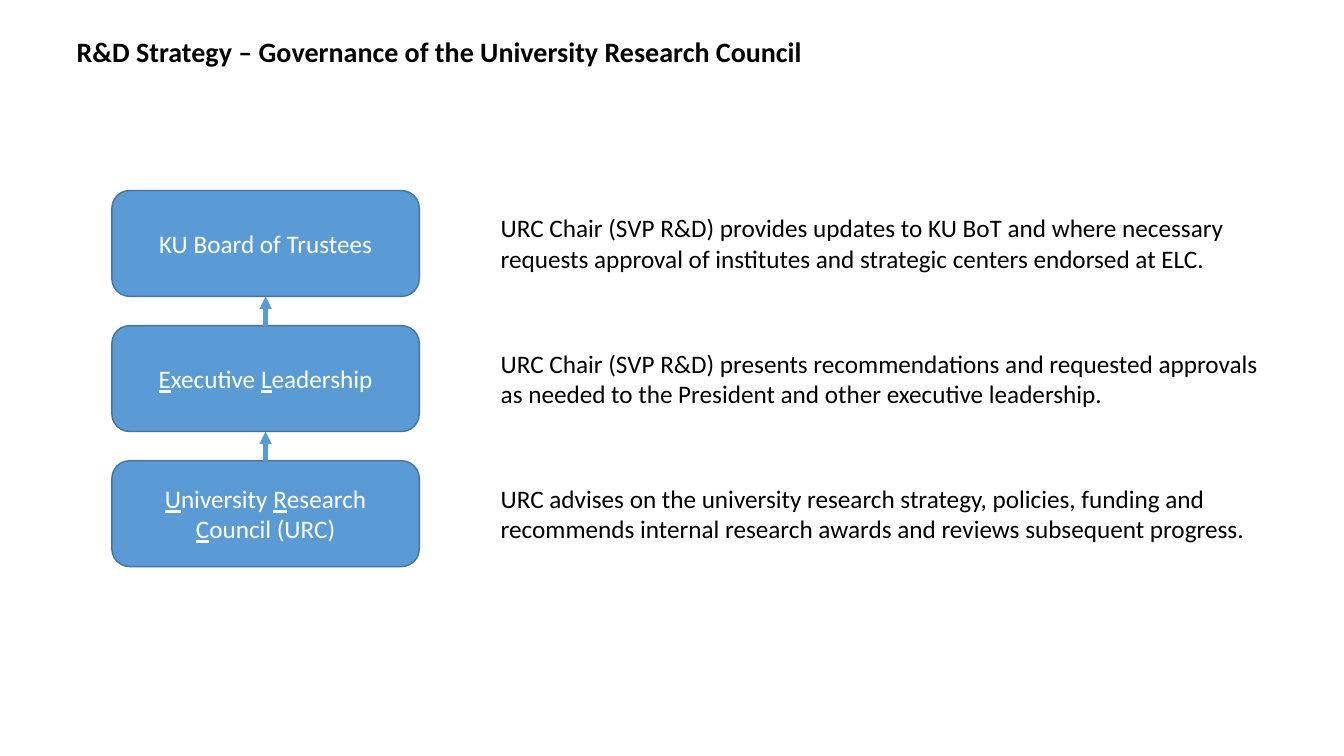
from lxml.etree import SubElement
from pptx import Presentation
from pptx.dml.color import RGBColor
from pptx.enum.shapes import MSO_CONNECTOR, MSO_SHAPE
from pptx.enum.text import MSO_ANCHOR, PP_ALIGN
from pptx.oxml.ns import qn
from pptx.util import Pt

TITLE = "R&D Strategy – Governance of the University Research Council"
# (body, role), top of the hierarchy first; letters between underscores are underlined
LEVELS = [
    ("KU Board of Trustees",
     "URC Chair (SVP R&D) provides updates to KU BoT and where necessary "
     "requests approval of institutes and strategic centers endorsed at ELC."),
    ("_E_xecutive _L_eadership",
     "URC Chair (SVP R&D) presents recommendations and requested approvals "
     "as needed to the President and other executive leadership."),
    ("_U_niversity _R_esearch _C_ouncil (URC)",
     "URC advises on the university research strategy, policies, funding and "
     "recommends internal research awards and reviews subsequent progress."),
]
COLORS = {"text": "000000", "box": "5B9BD5", "border": "43739E", "label": "FFFFFF"}
FONT = "Calibri"

BOX_LEFT, BOX_TOP, BOX_WIDTH, BOX_HEIGHT = 79.9, 136.1, 219.6, 75.6
PITCH = 96.5
ROLE_LEFT, ROLE_WIDTH, ROLE_HEIGHT = 350.6, 560, 51


def rgb(key):
    return RGBColor.from_string(COLORS[key])


def style_font(font, size, color, bold=False):
    font.name, font.size, font.bold = FONT, Pt(size), bold
    font.color.rgb = rgb(color)


def add_title(slide):
    title = slide.shapes.title
    title.left, title.top, title.width, title.height = Pt(47.5), Pt(20.9), Pt(863.3), Pt(31.7)
    frame = title.text_frame
    frame.text = TITLE
    frame.vertical_anchor = MSO_ANCHOR.TOP
    frame.paragraphs[0].alignment = PP_ALIGN.LEFT
    style_font(frame.paragraphs[0].runs[0].font, 20, "text", bold=True)


def add_body(slide, label, top):
    body = slide.shapes.add_shape(MSO_SHAPE.ROUNDED_RECTANGLE, Pt(BOX_LEFT), Pt(top),
                                  Pt(BOX_WIDTH), Pt(BOX_HEIGHT))
    body.shadow.inherit = False
    body.fill.solid()
    body.fill.fore_color.rgb = rgb("box")
    body.line.color.rgb = rgb("border")
    body.line.width = Pt(1)
    frame = body.text_frame
    frame.word_wrap = True
    frame.vertical_anchor = MSO_ANCHOR.MIDDLE
    paragraph = frame.paragraphs[0]
    paragraph.alignment = PP_ALIGN.CENTER
    for index, piece in enumerate(label.split("_")):
        if piece:
            run = paragraph.add_run()
            run.text = piece
            style_font(run.font, 18, "label")
            run.font.underline = index % 2 == 1
    return body


def add_role(slide, role, top):
    role_top = top + (BOX_HEIGHT - ROLE_HEIGHT) / 2
    frame = slide.shapes.add_textbox(Pt(ROLE_LEFT), Pt(role_top),
                                     Pt(ROLE_WIDTH), Pt(ROLE_HEIGHT)).text_frame
    frame.word_wrap = True
    frame.text = role
    style_font(frame.paragraphs[0].runs[0].font, 18, "text")


def add_reporting_arrow(slide, lower, upper):
    arrow = slide.shapes.add_connector(MSO_CONNECTOR.STRAIGHT, 0, 0, 0, 0)
    arrow.begin_connect(lower, 0)
    arrow.end_connect(upper, 2)
    arrow.line.color.rgb = rgb("box")
    arrow.line.width = Pt(3)
    SubElement(arrow.line._get_or_add_ln(), qn("a:tailEnd"), type="triangle")
    SubElement(arrow._element.spPr, qn("a:effectLst"))


def main():
    deck = Presentation()
    deck.slide_width, deck.slide_height = Pt(960), Pt(540)
    slide = deck.slides.add_slide(deck.slide_layouts[5])
    add_title(slide)

    bodies = []
    for row, (label, role) in enumerate(LEVELS):
        top = BOX_TOP + row * PITCH
        bodies.append(add_body(slide, label, top))
        add_role(slide, role, top)
    for upper, lower in zip(bodies, bodies[1:]):
        add_reporting_arrow(slide, lower, upper)

    deck.save("out.pptx")


if __name__ == "__main__":
    main()
